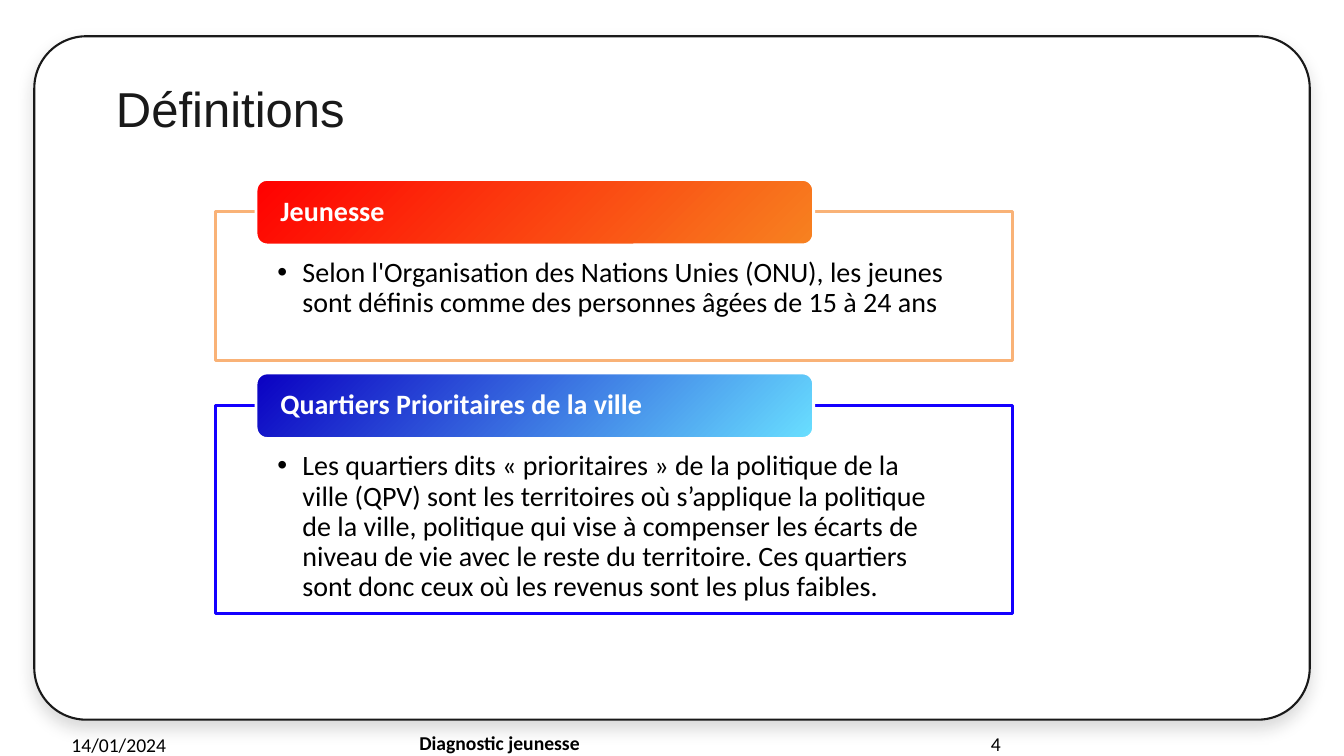
from dataclasses import dataclass

from lxml.etree import SubElement
from pptx import Presentation
from pptx.dml.color import RGBColor
from pptx.enum.shapes import MSO_SHAPE
from pptx.enum.text import MSO_ANCHOR, MSO_AUTO_SIZE, PP_ALIGN
from pptx.oxml.ns import qn
from pptx.util import Inches, Pt


@dataclass
class Definition:
    term: str
    text: str
    top: float
    height: float
    outline: str
    gradient: tuple[str, str]


@dataclass
class FooterItem:
    text: str
    left: float
    top: float
    width: float
    bold: bool = False


DEFINITIONS = [
    Definition(
        "Jeunesse",
        "Selon l'Organisation des Nations Unies (ONU), les jeunes sont définis "
        "comme des personnes âgées de 15 à 24 ans",
        2.1, 1.48, "F9B277", ("FF0000", "F78220"),
    ),
    Definition(
        "Quartiers Prioritaires de la ville",
        "Les quartiers dits « prioritaires » de la politique de la ville (QPV) "
        "sont les territoires où s’applique la politique de la ville, politique "
        "qui vise à compenser les écarts de niveau de vie avec le reste du "
        "territoire. Ces quartiers sont donc ceux où les revenus sont les plus "
        "faibles.",
        4.02, 2.07, "1400FF", ("0A00C2", "69DFFF"),
    ),
]

FOOTER = [
    FooterItem("14/01/2024", 0.61, 7.22, 2.85),
    FooterItem("Diagnostic jeunesse", 4.06, 7.2, 5.21, bold=True),
    FooterItem("4", 9.73, 7.21, 2.96),
]


def color(value: str) -> RGBColor:
    return RGBColor.from_string(value)


def place(shape, left: float, top: float, width: float, height: float) -> None:
    shape.left, shape.top = Inches(left), Inches(top)
    shape.width, shape.height = Inches(width), Inches(height)


def set_line(shape, value: str, width: float) -> None:
    shape.line.color.rgb = color(value)
    shape.line.width = Pt(width)


def write(shape, text: str, size: float, value: str = "000000",
          font: str = "Calibri", bold: bool = False):
    """Fill a shape with one left-aligned paragraph and return it."""
    frame = shape.text_frame
    frame.text = text
    frame.word_wrap = True
    frame.auto_size = MSO_AUTO_SIZE.NONE
    para = frame.paragraphs[0]
    para.alignment = PP_ALIGN.LEFT
    para.space_before = Pt(0)
    for span in para.runs:
        span.font.name = font
        span.font.size = Pt(size)
        span.font.bold = bold
        span.font.color.rgb = color(value)
    return para


def set_insets(shape, side: float, top: float, bottom: float) -> None:
    frame = shape.text_frame
    frame.margin_left = frame.margin_right = Inches(side)
    frame.margin_top, frame.margin_bottom = Inches(top), Inches(bottom)


def add_bullet(para, indent: float) -> None:
    properties = para._p.get_or_add_pPr()
    properties.set("marL", str(Inches(indent)))
    properties.set("indent", str(-Inches(indent)))
    SubElement(properties, qn("a:buFont"), typeface="Arial")
    SubElement(properties, qn("a:buChar"), char="•")


def add_card(page) -> None:
    card = page.shapes.add_shape(
        MSO_SHAPE.ROUNDED_RECTANGLE,
        Inches(0.34), Inches(0.36), Inches(12.65), Inches(6.78))
    card.adjustments[0] = 0.076
    card.fill.solid()
    card.fill.fore_color.rgb = color("FFFFFF")
    set_line(card, "191919", 1.5)
    # Soft shadow below the card
    card.shadow.inherit = False
    effects = card._element.spPr.find(qn("a:effectLst"))
    shadow = SubElement(effects, qn("a:outerShdw"), blurRad=str(Pt(11.2)),
                        dist=str(Pt(6)), dir=str(93 * 60000), rotWithShape="0")
    tint = SubElement(shadow, qn("a:srgbClr"), val="191919")
    SubElement(tint, qn("a:alpha"), val="16000")
    # Behind the placeholders
    page.shapes._spTree.insert(2, card._element)


def add_definition(page, body, item: Definition) -> None:
    # Outlined list
    place(body, 2.14, item.top, 7.9, item.height)
    set_line(body, item.outline, 2)
    para = write(body, item.text, 20)
    para.line_spacing = 0.9
    add_bullet(para, 0.25)
    set_insets(body, 0.61, 0.46, 0.16)
    body.text_frame.vertical_anchor = MSO_ANCHOR.TOP

    # Gradient heading straddling the top edge
    heading = page.shapes.add_shape(
        MSO_SHAPE.ROUNDED_RECTANGLE,
        Inches(2.54), Inches(item.top - 0.32), Inches(5.53), Inches(0.65))
    heading.shadow.inherit = False
    heading.fill.gradient()
    heading.fill.gradient_angle = 315
    for stop, value, position in zip(heading.fill.gradient_stops, item.gradient, (0, 1)):
        stop.color.rgb = color(value)
        stop.position = position
    set_line(heading, "FFFFFF", 2)
    write(heading, item.term, 20, "FFFFFF", bold=True).line_spacing = 0.9
    set_insets(heading, 0.21, 0, 0)
    heading.text_frame.vertical_anchor = MSO_ANCHOR.MIDDLE


def add_footer(page, item: FooterItem) -> None:
    box = page.shapes.add_textbox(
        Inches(item.left), Inches(item.top), Inches(item.width), Inches(0.23))
    write(box, item.text, 14, bold=item.bold)


def main() -> None:
    deck = Presentation()
    deck.slide_width, deck.slide_height = Inches(13.33), Inches(7.5)
    page = deck.slides.add_slide(deck.slide_layouts.get_by_name("Two Content"))
    add_card(page)

    # Title
    title = page.shapes.title
    place(title, 1.05, 0.65, 11.23, 0.84)
    write(title, "Définitions", 35, "191919", "Arial")
    set_insets(title, 0.1, 0.1, 0.1)
    title.text_frame.vertical_anchor = MSO_ANCHOR.MIDDLE

    # Definitions
    bodies = [page.placeholders[1], page.placeholders[2]]
    for body, item in zip(bodies, DEFINITIONS):
        add_definition(page, body, item)

    # Footer
    for item in FOOTER:
        add_footer(page, item)

    deck.save("out.pptx")


if __name__ == "__main__":
    main()
